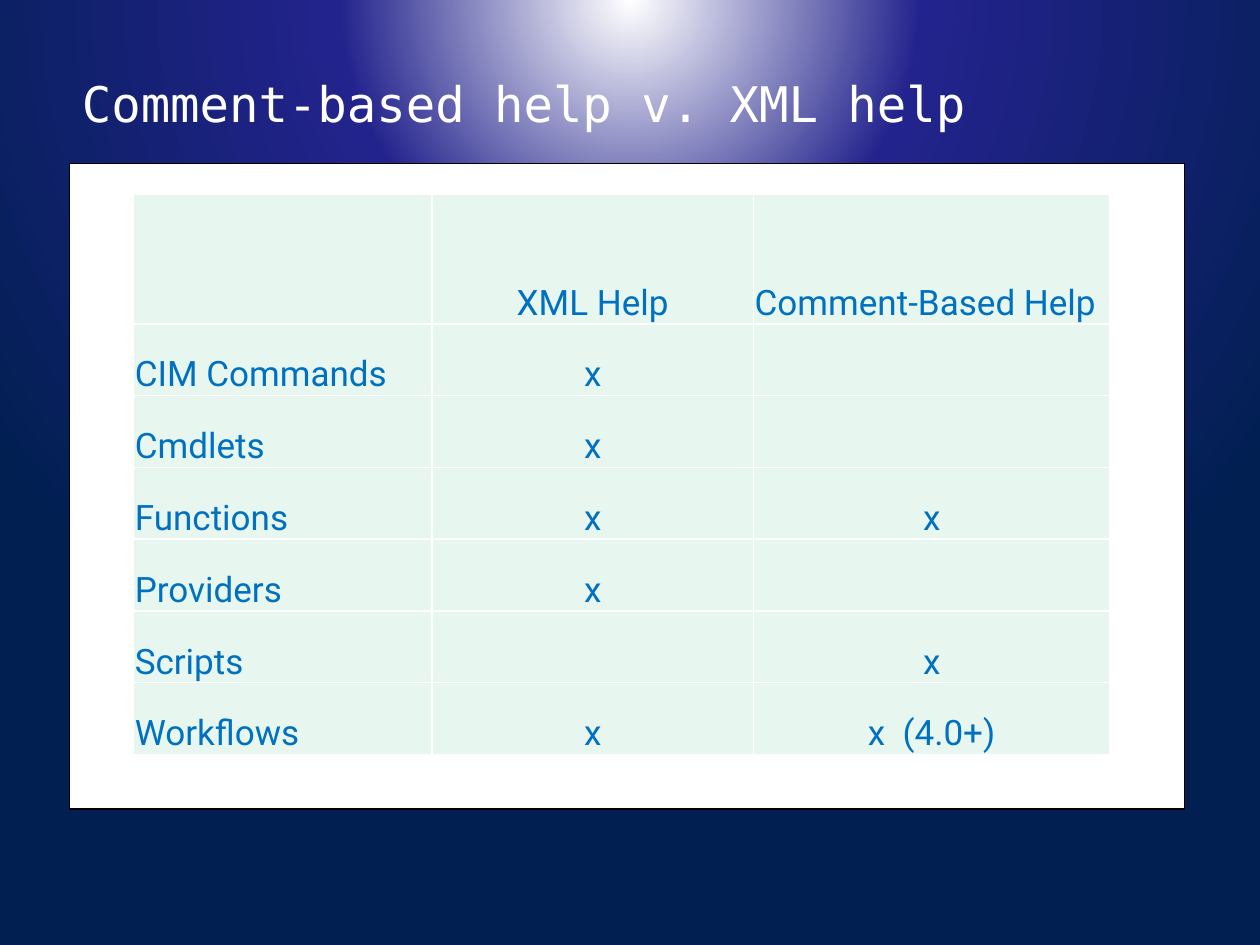
from lxml.etree import fromstring
from pptx import Presentation
from pptx.dml.color import RGBColor
from pptx.enum.shapes import MSO_SHAPE
from pptx.enum.text import MSO_ANCHOR, PP_ALIGN
from pptx.oxml.ns import nsdecls
from pptx.util import Inches, Pt

HEADS = ["", "XML Help", "Comment-Based Help"]
ROWS = [
    ["CIM Commands", "x", ""],
    ["Cmdlets", "x", ""],
    ["Functions", "x", "x"],
    ["Providers", "x", ""],
    ["Scripts", "", "x"],
    ["Workflows", "x", "x  (4.0+)"],
]
WIDTHS = [2.37, 2.55, 2.83]
HEAD_HIGH, ROW_HIGH = 1.03, 0.57
STOPS = [(0, "FFFFFF"), (37, "23238D"), (100, "011F51")]


def color(code):
    return RGBColor.from_string(code)


def style(para, font, size, code):
    for run in para.runs:
        run.font.name = font
        run.font.size = Pt(size)
        run.font.bold = False
        run.font.color.rgb = color(code)


def add_glow(slide):
    # Radial gradient centred above the top edge
    stops = "".join(
        f'<a:gs pos="{pos * 1000}"><a:srgbClr val="{code}"/></a:gs>'
        for pos, code in STOPS)
    back = fromstring(
        f'<p:bg {nsdecls("p", "a")}><p:bgPr><a:gradFill rotWithShape="1">'
        f'<a:gsLst>{stops}</a:gsLst><a:path path="circle">'
        '<a:fillToRect l="50000" t="-80000" r="50000" b="180000"/></a:path>'
        '</a:gradFill><a:effectLst/></p:bgPr></p:bg>')
    slide.shapes.element.getparent().insert(0, back)


def add_panel(slide):
    panel = slide.shapes.add_shape(
        MSO_SHAPE.RECTANGLE, Inches(0.55), Inches(1.3), Inches(8.85), Inches(5.12))
    panel.shadow.inherit = False
    panel.fill.solid()
    panel.fill.fore_color.rgb = color("FFFFFF")
    panel.line.color.rgb = color("000000")
    panel.line.width = Pt(0.75)
    # Place the panel behind the title
    slide.shapes.element.insert(2, panel.element)


def set_title(slide, text):
    title = slide.shapes.title
    title.left, title.top = Inches(0.55), Inches(0.53)
    title.width, title.height = Inches(8.26), Inches(1.22)
    frame = title.text_frame
    frame.text = text
    frame.word_wrap = True
    frame.vertical_anchor = MSO_ANCHOR.TOP
    para = frame.paragraphs[0]
    para.alignment = PP_ALIGN.LEFT
    style(para, "DejaVu Sans Mono", 28, "FFFFFF")


def add_edges(cell, code):
    # Borders come before the fill in the cell properties
    props = cell._tc.get_or_add_tcPr()
    for spot, side in enumerate("LRTB"):
        edge = fromstring(
            f'<a:ln{side} {nsdecls("a")} w="{Pt(1)}"><a:solidFill>'
            f'<a:srgbClr val="{code}"/></a:solidFill></a:ln{side}>')
        props.insert(spot, edge)


def fill_cell(cell, text, align):
    cell.fill.solid()
    cell.fill.fore_color.rgb = color("E7F6EF")
    cell.vertical_anchor = MSO_ANCHOR.BOTTOM
    cell.margin_left = cell.margin_right = cell.margin_top = Inches(0.01)
    cell.margin_bottom = 0
    cell.text_frame.text = text
    para = cell.text_frame.paragraphs[0]
    para.alignment = align
    style(para, "Roboto", 20, "0070C0")
    add_edges(cell, "FFFFFF")


def add_grid(slide):
    data = [HEADS] + ROWS
    highs = [HEAD_HIGH] + [ROW_HIGH] * len(ROWS)
    table = slide.shapes.add_table(
        len(data), len(HEADS), Inches(1.06), Inches(1.54),
        Inches(sum(WIDTHS)), Inches(sum(highs))).table
    table.first_row = table.horz_banding = False
    for col, width in zip(table.columns, WIDTHS):
        col.width = Inches(width)
    for row, high, texts in zip(table.rows, highs, data):
        row.height = Inches(high)
        for num, (cell, text) in enumerate(zip(row.cells, texts)):
            # Labels and the long heading sit left, marks are centred
            left = num == 0 or text == HEADS[2]
            fill_cell(cell, text, PP_ALIGN.LEFT if left else PP_ALIGN.CENTER)


def main():
    deck = Presentation()
    deck.slide_width, deck.slide_height = Inches(10), Inches(7.5)
    slide = deck.slides.add_slide(deck.slide_layouts[5])
    add_glow(slide)
    add_panel(slide)
    set_title(slide, "Comment-based help v. XML help")
    add_grid(slide)
    deck.save("out.pptx")


if __name__ == "__main__":
    main()
